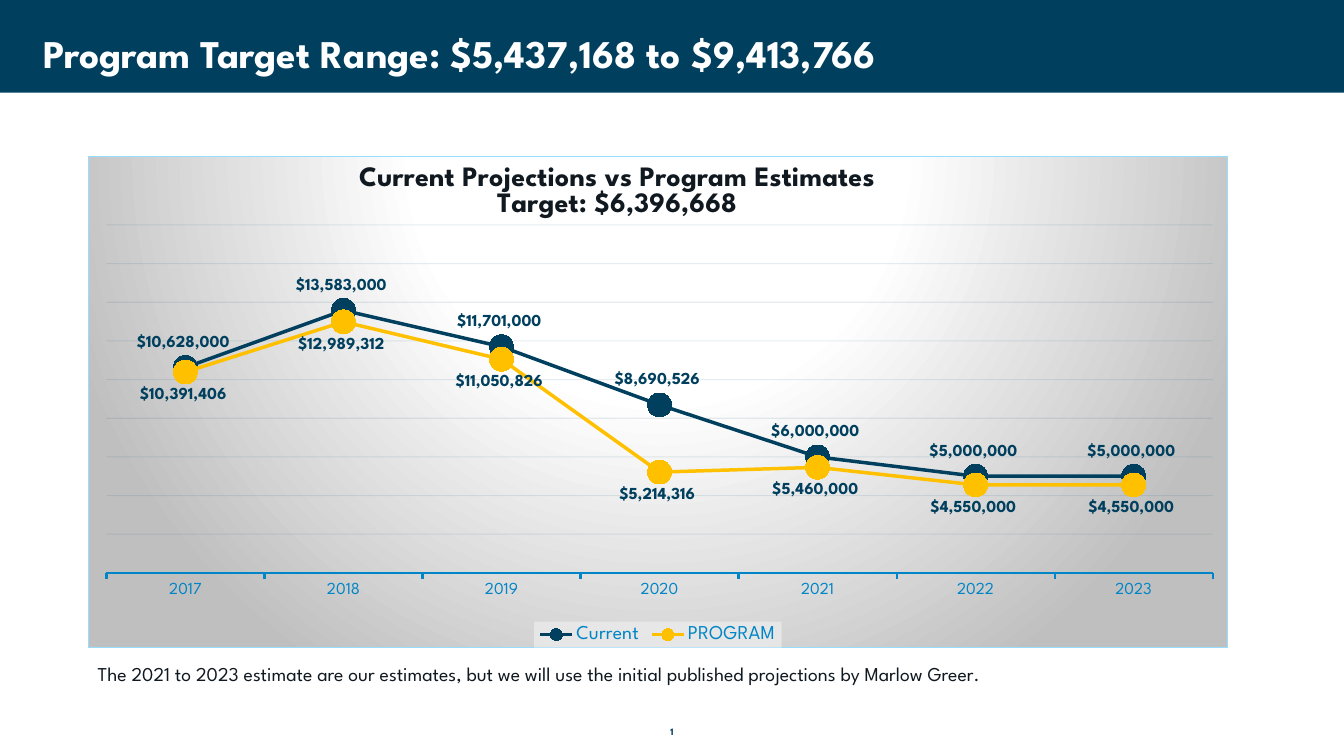
import pptx
import pptx.chart.data
import pptx.dml.color
import pptx.enum.chart
import pptx.enum.shapes
import pptx.enum.text
import pptx.oxml
import pptx.oxml.ns
import pptx.util

WIDTH, HEIGHT = 13.33, 7.5
MARGIN, CONTENT_WIDTH = 0.87, 11.31
FONT = "League Spartan"
NAVY, BLUE, GOLD, INK, WHITE = "003F5E", "0085C6", "FFC000", "101820", "FFFFFF"
NAMESPACES = pptx.oxml.ns.nsdecls("c", "a")
YEARS = ["2017", "2018", "2019", "2020", "2021", "2022", "2023"]
CURRENT = [10628000, 13583000, 11701000, 8690526, 6000000, 5000000, 5000000]
PROGRAM = [10391406, 12989312, 11050826, 5214316, 5460000, 4550000, 4550000]
DOLLARS = '"$"#,##0_);[Red]\\("$"#,##0\\)'


def color(value):
    return pptx.dml.color.RGBColor.from_string(value)


def inches(*lengths):
    return [pptx.util.Inches(length) for length in lengths]


def set_font(font, size, value, bold=False):
    font.name = FONT
    font.size = pptx.util.Pt(size)
    font.bold = bold
    font.color.rgb = color(value)


def set_line(line, width, value):
    line.width = pptx.util.Pt(width)
    line.color.rgb = color(value)


def set_fill(fill, value):
    fill.solid()
    fill.fore_color.rgb = color(value)


def chart_xml(body):
    tag, rest = body.split(">", 1)
    return pptx.oxml.parse_xml(f"{tag} {NAMESPACES}>{rest}")


def manual_layout(target="", **shares):
    inner = f'<c:layoutTarget val="{target}"/>' if target else ""
    inner += '<c:xMode val="edge"/><c:yMode val="edge"/>'
    inner += "".join(f'<c:{key} val="{share}"/>' for key, share in shares.items())
    return chart_xml(f"<c:layout><c:manualLayout>{inner}</c:manualLayout></c:layout>")


def add_header(slide, box):
    left, top, width, height = box
    band = slide.shapes.add_shape(pptx.enum.shapes.MSO_SHAPE.RECTANGLE, *inches(*box))
    band.shadow.inherit = False
    set_fill(band.fill, NAVY)
    band.line.fill.background()
    title = slide.shapes.title
    title.element.addprevious(band.element)
    title.left, title.top, title.width, title.height = inches(
        left + 0.33, top + 0.26, 11.5, height - 0.34)
    frame = title.text_frame
    frame.text = "Program Target Range: $5,437,168 to $9,413,766"
    frame.vertical_anchor = pptx.enum.text.MSO_ANCHOR.MIDDLE
    paragraph = frame.paragraphs[0]
    paragraph.alignment = pptx.enum.text.PP_ALIGN.LEFT
    paragraph.line_spacing = 0.9
    set_font(paragraph.font, 28, WHITE, True)


def style_series(series, value, label_position):
    series.smooth = False
    set_line(series.format.line, 2.5, value)
    series.marker.style = pptx.enum.chart.XL_MARKER_STYLE.CIRCLE
    series.marker.size = 17
    set_fill(series.marker.format.fill, value)
    set_line(series.marker.format.line, 0.75, value)
    labels = series.data_labels
    labels.show_value = True
    labels.position = label_position
    labels.number_format = DOLLARS
    labels.number_format_is_linked = False
    set_font(labels.font, 12, NAVY, True)


def style_axes(chart):
    years = chart.category_axis
    years.major_tick_mark = pptx.enum.chart.XL_TICK_MARK.OUTSIDE
    set_line(years.format.line, 1.5, BLUE)
    set_font(years.tick_labels.font, 12, BLUE)
    amounts = chart.value_axis
    amounts.visible = False
    amounts.minimum_scale, amounts.maximum_scale = 0, 18000000
    amounts.major_unit = 2000000
    amounts.has_major_gridlines = True
    set_line(amounts.major_gridlines.format.line, 0.75, "004D73")
    shade = chart.element.xpath(".//c:majorGridlines//a:srgbClr")[0]
    shade.append(pptx.oxml.parse_xml(
        f'<a:alpha {pptx.oxml.ns.nsdecls("a")} val="10000"/>'))


def style_title(chart):
    chart.has_title = True
    frame = chart.chart_title.text_frame
    frame.text = "Current Projections vs Program Estimates\nTarget: $6,396,668"
    for paragraph in frame.paragraphs:
        set_font(paragraph.font, 20, INK, True)
    title = chart.element.xpath("c:chart/c:title")[0]
    for layout in title.xpath("c:layout"):
        title.remove(layout)
    title.xpath("c:tx")[0].addnext(manual_layout(x=0.235, y=0.01))


def style_legend(chart):
    chart.has_legend = True
    chart.legend.position = pptx.enum.chart.XL_LEGEND_POSITION.BOTTOM
    chart.legend.include_in_layout = False
    set_font(chart.legend.font, 14, BLUE)
    chart.element.xpath(".//c:legend/c:txPr")[0].addprevious(chart_xml(
        '<c:spPr><a:solidFill><a:srgbClr val="F2F2F2"><a:alpha val="60000"/>'
        "</a:srgbClr></a:solidFill></c:spPr>"))


def style_background(chart):
    stops = "".join(
        f'<a:gs pos="{share * 1000}"><a:srgbClr val="{value}"/></a:gs>'
        for share, value in [(0, WHITE), (39, WHITE), (100, "BFBFBF")])
    chart.element.xpath("c:txPr")[0].addprevious(chart_xml(
        f"<c:spPr><a:gradFill><a:gsLst>{stops}</a:gsLst>"
        '<a:path path="circle"><a:fillToRect l="50000" t="-80000" r="50000" b="180000"/>'
        '</a:path></a:gradFill><a:ln w="9525"><a:solidFill><a:srgbClr val="97DDFF"/>'
        "</a:solidFill></a:ln></c:spPr>"))


def add_projection_chart(slide, box):
    data = pptx.chart.data.CategoryChartData()
    data.categories = YEARS
    data.add_series("Current", CURRENT)
    data.add_series("PROGRAM", PROGRAM)
    chart = slide.shapes.add_chart(
        pptx.enum.chart.XL_CHART_TYPE.LINE_MARKERS, *inches(*box), data).chart
    set_font(chart.font, 10, NAVY)
    chart.plots[0].vary_by_categories = False
    position = pptx.enum.chart.XL_LABEL_POSITION
    styles = [(NAVY, position.ABOVE), (GOLD, position.BELOW)]
    for series, style in zip(chart.plots[0].series, styles):
        style_series(series, *style)
    style_axes(chart)
    style_title(chart)
    style_legend(chart)
    style_background(chart)
    plot_area = chart.element.xpath("c:chart/c:plotArea")[0]
    for layout in plot_area.xpath("c:layout"):
        plot_area.remove(layout)
    plot_area.insert(0, manual_layout("inner", x=0.016, y=0.139, w=0.971, h=0.709))


def add_text(slide, box, text, size, value):
    frame = slide.shapes.add_textbox(*inches(*box)).text_frame
    frame.word_wrap = True
    paragraph = frame.paragraphs[0]
    paragraph.text = text
    set_font(paragraph.font, size, value)
    return paragraph


def add_page_number(slide, box):
    paragraph = add_text(slide, box, "1", 7, NAVY)
    paragraph.alignment = pptx.enum.text.PP_ALIGN.CENTER
    paragraph.font.bold = True


def main():
    presentation = pptx.Presentation()
    presentation.slide_width, presentation.slide_height = inches(WIDTH, HEIGHT)
    slide = presentation.slides.add_slide(presentation.slide_layouts[5])
    add_header(slide, (0, 0, WIDTH, 0.92))
    add_projection_chart(slide, (MARGIN, 1.55, CONTENT_WIDTH, 4.88))
    add_text(slide, (MARGIN, 6.52, CONTENT_WIDTH, 0.34),
             "The 2021 to 2023 estimate are our estimates, but we will use the "
             "initial published projections by Marlow Greer.", 14, INK)
    add_page_number(slide, (WIDTH / 2 - 0.22, 7.15, 0.44, 0.22))
    presentation.save("out.pptx")


if __name__ == "__main__":
    main()
